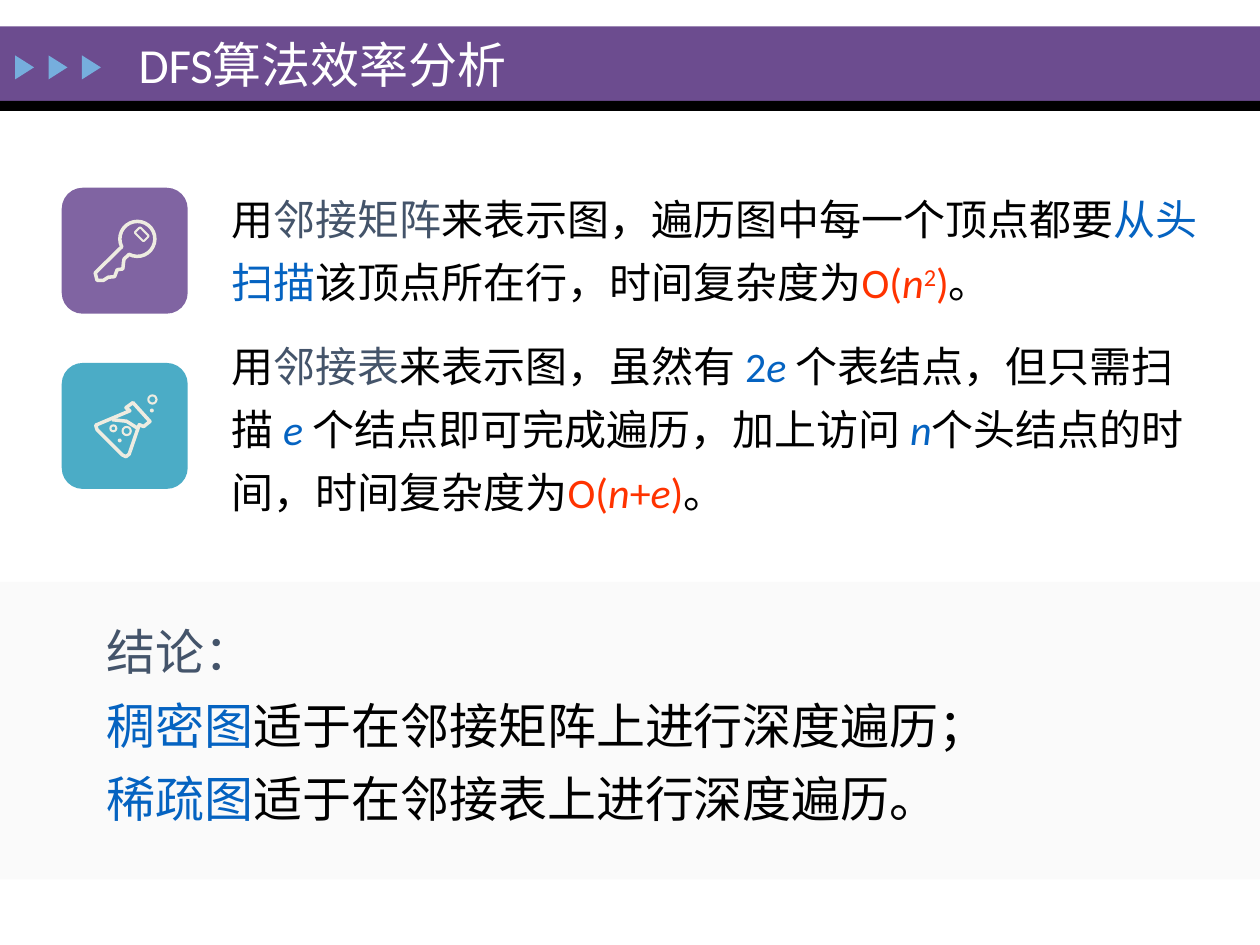
from math import cos, radians, sin

from pptx import Presentation
from pptx.dml.color import RGBColor
from pptx.enum.shapes import MSO_SHAPE
from pptx.enum.text import MSO_ANCHOR, PP_ALIGN
from pptx.util import Pt

RECT, ROUND_RECT = MSO_SHAPE.RECTANGLE, MSO_SHAPE.ROUNDED_RECTANGLE
OVAL, TRIANGLE = MSO_SHAPE.OVAL, MSO_SHAPE.ISOSCELES_TRIANGLE
MIDDLE, LEFT = MSO_ANCHOR.MIDDLE, PP_ALIGN.LEFT

FONT = "Calibri"
BLACK, WHITE, CREAM = "000000", "FFFFFF", "EEECE1"
SLATE, BLUE, RED = "44546A", "0563C1", "FF3300"

# Each run is (text, colour, style); style is "i" for italic, "sup" for superscript
ANALYSIS = [
    [("用", BLACK, ""), ("邻接矩阵", SLATE, ""),
     ("来表示图，遍历图中每一个顶点都要", BLACK, ""), ("从头扫描", BLUE, ""),
     ("该顶点所在行，时间复杂度为", BLACK, ""), ("O(", RED, ""), ("n", RED, "i"),
     ("2", RED, "sup"), (")", RED, ""), ("。", BLACK, "")],
    [("用", BLACK, ""), ("邻接表", SLATE, ""), ("来表示图，虽然有 ", BLACK, ""),
     ("2", BLUE, ""), ("e ", BLUE, "i"), ("个表结点，但只需扫描 ", BLACK, ""),
     ("e ", BLUE, "i"), ("个结点即可完成遍历，加上访问 ", BLACK, ""),
     ("n", BLUE, "i"), ("个头结点的时间，时间复杂度为", BLACK, ""),
     ("O(", RED, ""), ("n", RED, "i"), ("+", RED, ""), ("e", RED, "i"),
     (")", RED, ""), ("。", BLACK, "")],
]
CONCLUSION = [
    [("结论：", SLATE, "")],
    [("稠密图", BLUE, ""), ("适于在邻接矩阵上进行深度遍历；", BLACK, "")],
    [("稀疏图", BLUE, ""), ("适于在邻接表上进行深度遍历。", BLACK, "")],
]

# Icon outlines in points from the top left of a 72 pt tile
KEY_BOW = (43.2, 29.2, 10)
KEY_TEETH = [(35.6, 40.7), (35.3, 42.5), (34.9, 46.4), (31.7, 46.8), (30.6, 49.7),
             (30.2, 50.8), (26.6, 51.1), (23.8, 52.9), (20.2, 52.9), (19.1, 48.6)]
FLASK = [(38.9, 27.4), (19.4, 35.6), (20.2, 38.2), (34.6, 52.6), (36.7, 53.6),
         (38.5, 52.2), (44.3, 35.3), (46.8, 36.4), (50.4, 33.5), (40.7, 22.7),
         (36.7, 25.6)]
LIQUID = [(28.8, 32.4), (37, 33.3), (43.2, 37.2)]
BUBBLES = [(37.1, 38.9, 4.7), (51.8, 20.9, 4.7), (29.5, 37.4, 3.4)]
DROPS = [(33.1, 44.3, 2.2), (51.5, 27.2, 2.2)]


def rgb(value):
    return RGBColor.from_string(value)


def paint(sp, fill=None, line=None, width=1.2):
    sp.shadow.inherit = False
    if fill:
        sp.fill.solid()
        sp.fill.fore_color.rgb = rgb(fill)
    else:
        sp.fill.background()
    if line:
        sp.line.color.rgb = rgb(line)
        sp.line.width = Pt(width)
    else:
        sp.line.fill.background()


def add_shape(slide, kind, x, y, w, h, **colours):
    sp = slide.shapes.add_shape(kind, Pt(x), Pt(y), Pt(w), Pt(h))
    paint(sp, **colours)
    return sp


def add_outline(slide, x, y, points, close=True):
    start, *rest = [(Pt(x + px), Pt(y + py)) for px, py in points]
    builder = slide.shapes.build_freeform(*start)
    builder.add_line_segments(rest, close=close)
    paint(builder.convert_to_shape(), line=CREAM, width=2)


def add_circle(slide, cx, cy, d, **colours):
    add_shape(slide, OVAL, cx - d / 2, cy - d / 2, d, d, **colours)


def add_text(slide, x, y, w, h, paragraphs, size, before=0):
    tf = slide.shapes.add_textbox(Pt(x), Pt(y), Pt(w), Pt(h)).text_frame
    tf.word_wrap = True
    for i, runs in enumerate(paragraphs):
        p = tf.add_paragraph() if i else tf.paragraphs[0]
        p.line_spacing = 1.25
        p.space_before = Pt(before)
        p.font.size, p.font.name = Pt(size), FONT
        for text, colour, style in runs:
            r = p.add_run()
            r.text = text
            r.font.size, r.font.name = Pt(size), FONT
            r.font.color.rgb = rgb(colour)
            if style == "i":
                r.font.italic = True
            elif style == "sup":
                r._r.get_or_add_rPr().set("baseline", "30000")


def add_header(slide, x, y, w, h):
    add_shape(slide, RECT, x, y, w, h, fill="6C4C8F")
    add_shape(slide, RECT, x, y + h, w, 5.8, fill=BLACK)
    for i in range(3):
        sp = add_shape(slide, TRIANGLE, x + 7.2 + 19.1 * i, y + 18, 13.7, 10.8,
                       fill="76AEDD")
        sp.rotation = 90

    title = slide.shapes.title
    title.left, title.top = Pt(x + 72), Pt(y + 1.5)
    title.width, title.height = Pt(402.5), Pt(40.3)
    tf = title.text_frame
    tf.text = "DFS算法效率分析"
    tf.vertical_anchor = MIDDLE
    p = tf.paragraphs[0]
    p.alignment = LEFT
    p.font.size, p.font.name = Pt(28), FONT
    p.font.color.rgb = rgb(WHITE)
    # Bring the title in front of the bar
    title._element.getparent().append(title._element)


def add_key_tile(slide, x, y, size):
    add_shape(slide, ROUND_RECT, x, y, size, size, fill="8064A2")
    cx, cy, radius = KEY_BOW
    bow = [(cx + radius * cos(radians(a)), cy + radius * sin(radians(a)))
           for a in range(153, 479, 13)]
    add_outline(slide, x, y, bow + KEY_TEETH)
    slot = add_shape(slide, ROUND_RECT, x + 42.1, y + 24.4, 7.2, 4.4, line=CREAM)
    slot.rotation = 45


def add_flask_tile(slide, x, y, size):
    add_shape(slide, ROUND_RECT, x, y, size, size, fill="4BACC6")
    add_outline(slide, x, y, FLASK)
    add_outline(slide, x, y, LIQUID, close=False)
    for cx, cy, d in BUBBLES:
        add_circle(slide, x + cx, y + cy, d, line=CREAM)
    for cx, cy, d in DROPS:
        add_circle(slide, x + cx, y + cy, d, fill=CREAM)


def add_conclusion(slide, x, y, w, h):
    add_shape(slide, RECT, x, y, w, h, fill="FAFAFA")
    add_text(slide, x + 54, y + 10.8, 652.3, 134.6, CONCLUSION, 28)


def main():
    prs = Presentation()
    prs.slide_width, prs.slide_height = Pt(720), Pt(540)
    slide = prs.slides.add_slide(prs.slide_layouts[5])
    add_header(slide, 0, 15.1, 720, 42.5)
    add_conclusion(slide, 0, 332.6, 720, 169.9)
    add_text(slide, 125.3, 100.1, 568.1, 213.1, ANALYSIS, 24, before=12)
    add_key_tile(slide, 35.3, 107.3, 72)
    add_flask_tile(slide, 35.3, 207.4, 72)
    prs.save("out.pptx")


if __name__ == "__main__":
    main()
